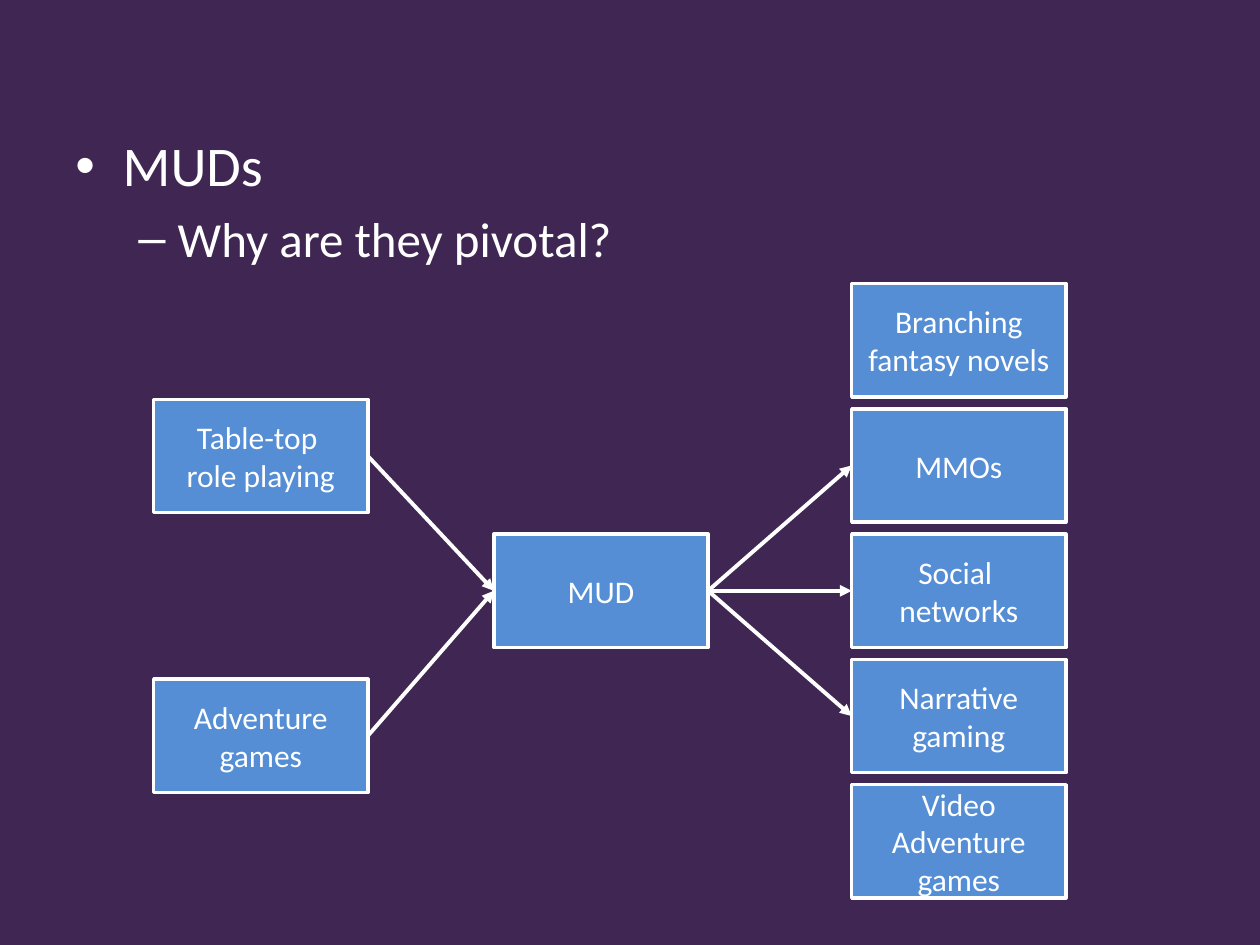
"""Build a slide showing what led to MUDs and what followed from them."""
from lxml.etree import SubElement
from pptx import Presentation
from pptx.dml.color import RGBColor
from pptx.enum.shapes import MSO_CONNECTOR as CONN, MSO_SHAPE as SHAPE
from pptx.enum.text import MSO_ANCHOR as ANCHOR, PP_ALIGN as ALIGN
from pptx.oxml.ns import qn
from pptx.util import Pt

COLORS = {"background": "402652", "box": "558ED5", "white": "FFFFFF"}
FONT = "Calibri"
BOX_W, BOX_H = 122.4, 64.8
SOURCE_X, MUD_X, RESULT_X = 87.84, 282.24, 486.72
RESULT_TOP, RESULT_PITCH = 162, 71.6
LEFT_SIDE, RIGHT_SIDE = 1, 3
SOURCES = [("Table-top \nrole playing", 228.24), ("Adventure games", 388.08)]
RESULTS = ["Branching fantasy novels", "MMOs", "Social \nnetworks",
           "Narrative gaming", "Video Adventure games"]
BULLETS = [("MUDs", "•", 32, 27, 27, 0),
           ("Why are they pivotal?", "–", 28, 58.5, 22.5, 5.6)]


def color(name):
    """Return the named colour."""
    return RGBColor.from_string(COLORS[name])


def style_runs(p, size):
    """Format the runs of a paragraph."""
    for r in p.runs:
        r.font.name = FONT
        r.font.size = Pt(size)
        r.font.color.rgb = color("white")


def add_bullets(slide):
    """Add the bulleted text at the top."""
    tf = slide.shapes.add_textbox(Pt(36), Pt(71.28), Pt(648), Pt(442)).text_frame
    tf.word_wrap = True
    for i, (text, mark, size, margin, hang, before) in enumerate(BULLETS):
        p = tf.add_paragraph() if i else tf.paragraphs[0]
        p.text = text
        p.level = i
        p.space_before = Pt(before)
        pPr = p._p.get_or_add_pPr()
        pPr.set("marL", str(Pt(margin)))
        pPr.set("indent", str(-Pt(hang)))
        SubElement(pPr, qn("a:buFont"), typeface="Arial")
        SubElement(pPr, qn("a:buChar"), char=mark)
        style_runs(p, size)


def add_box(slide, text, left, top):
    """Add a labelled box and return it."""
    sp = slide.shapes.add_shape(SHAPE.RECTANGLE, Pt(left), Pt(top), Pt(BOX_W), Pt(BOX_H))
    sp.shadow.inherit = False
    sp.fill.solid()
    sp.fill.fore_color.rgb = color("box")
    sp.line.color.rgb = color("white")
    sp.line.width = Pt(2)
    tf = sp.text_frame
    tf.word_wrap = True
    tf.vertical_anchor = ANCHOR.MIDDLE
    tf.text = text
    for p in tf.paragraphs:
        p.alignment = ALIGN.CENTER
        style_runs(p, 18)
    return sp


def add_arrow(slide, start, end):
    """Join the right side of one box to the left side of another."""
    arrow = slide.shapes.add_connector(CONN.STRAIGHT, 0, 0, 0, 0)
    arrow.begin_connect(start, RIGHT_SIDE)
    arrow.end_connect(end, LEFT_SIDE)
    arrow.line.color.rgb = color("white")
    arrow.line.width = Pt(2.25)
    SubElement(arrow.line._get_or_add_ln(), qn("a:tailEnd"), type="triangle")
    SubElement(arrow._element.spPr, qn("a:effectLst"))


def main():
    """Build and save the slide."""
    prs = Presentation()
    prs.slide_width, prs.slide_height = Pt(720), Pt(540)
    slide = prs.slides.add_slide(prs.slide_layouts[6])
    slide.background.fill.solid()
    slide.background.fill.fore_color.rgb = color("background")
    add_bullets(slide)
    mud = add_box(slide, "MUD", MUD_X, RESULT_TOP + 2 * RESULT_PITCH)
    sources = [add_box(slide, text, SOURCE_X, top) for text, top in SOURCES]
    results = [add_box(slide, text, RESULT_X, RESULT_TOP + i * RESULT_PITCH)
               for i, text in enumerate(RESULTS)]
    for source in sources:
        add_arrow(slide, source, mud)
    for result in results[1:4]:
        add_arrow(slide, mud, result)
    prs.save("out.pptx")


if __name__ == "__main__":
    main()
